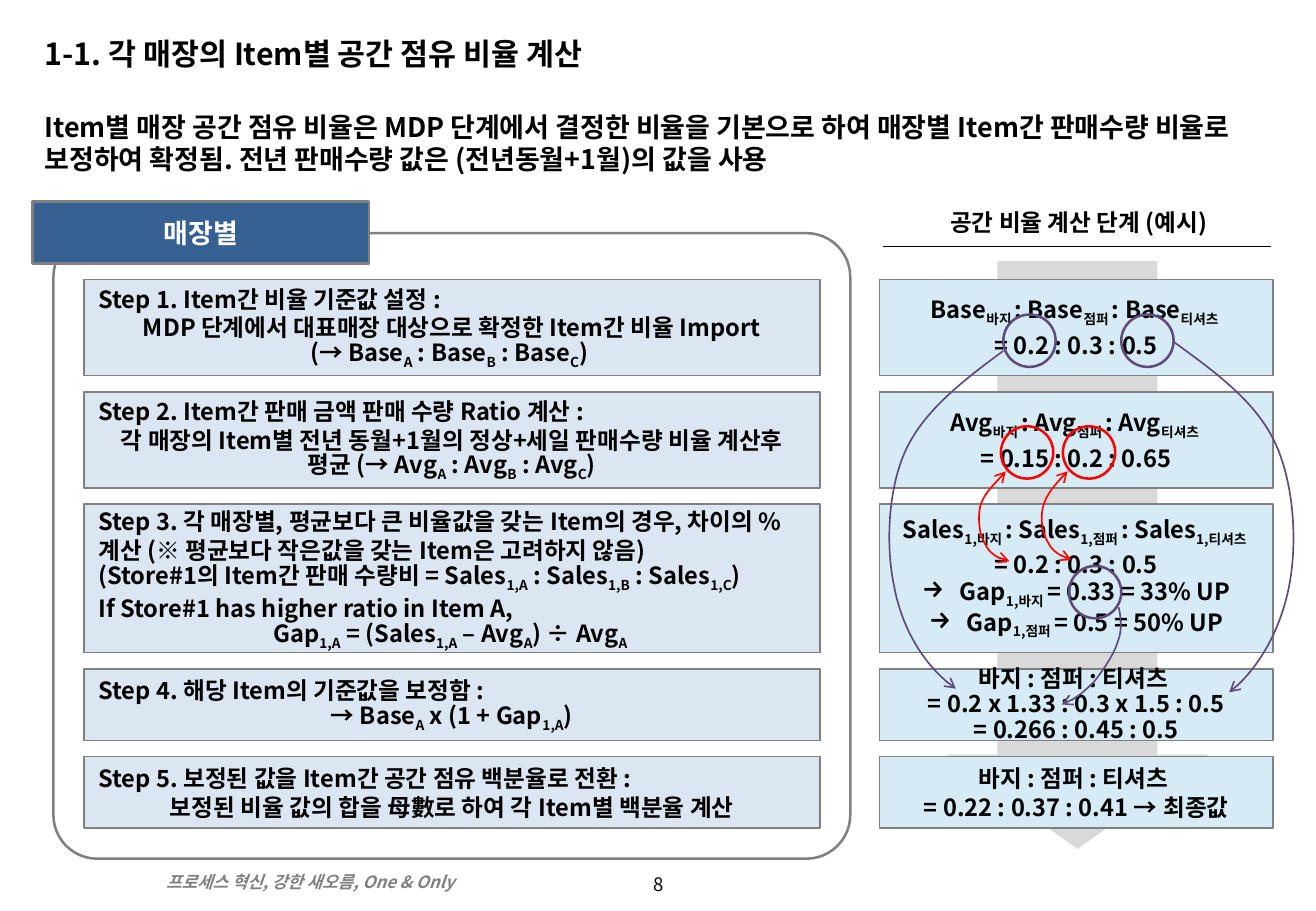
import lxml.etree
import pptx
import pptx.dml.color
import pptx.enum.shapes
import pptx.enum.text
import pptx.oxml.ns
import pptx.util

Pt = pptx.util.Pt
RGBColor = pptx.dml.color.RGBColor
SHAPE = pptx.enum.shapes.MSO_SHAPE
ALIGN = pptx.enum.text.PP_ALIGN
ANCHOR = pptx.enum.text.MSO_ANCHOR
qn = pptx.oxml.ns.qn

FONT = "Noto Sans CJK KR"
BLACK = RGBColor(0, 0, 0)
WHITE = RGBColor(255, 255, 255)
GRAY = RGBColor(0x80, 0x80, 0x80)
LIGHT_GRAY = RGBColor(0xD9, 0xD9, 0xD9)
NAVY = RGBColor(0x37, 0x60, 0x92)
STEP_BLUE = RGBColor(0xDC, 0xE6, 0xF2)
EXAMPLE_BLUE = RGBColor(0xD6, 0xEB, 0xF6)
RED = RGBColor(255, 0, 0)
PURPLE = RGBColor(0x60, 0x4A, 0x7B)

LEFT, CENTER, ARROW = "left", "center", "arrow"
TITLE = "1-1. 각 매장의 Item별 공간 점유 비율 계산"
SUMMARY = ("Item별 매장 공간 점유 비율은 MDP 단계에서 결정한 비율을 기본으로 하여 매장별 Item간 판매수량 "
           "비율로 보정하여 확정됨. 전년 판매수량 값은 (전년동월+1월)의 값을 사용")
FOOTER = "프로세스 혁신, 강한 새오름, One & Only"

# each row: height, then (leading, wrap, lines) for the step and for its example
ROWS = [
    (57, (16.8, False, [
        (LEFT, "Step 1. Item간 비율 기준값 설정 :"),
        (CENTER, "MDP 단계에서 대표매장 대상으로 확정한 Item간 비율 Import"),
        (CENTER, "(→ Base|A| : Base|B| : Base|C|) ")]),
     (19, False, [
         (CENTER, "Base|바지 |: Base|점퍼 |: Base|티셔츠 "),
         (CENTER, "= 0.2 : 0.3 : 0.5")])),
    (57, (16.8, True, [
        (LEFT, "Step 2. Item간 판매 금액 판매 수량 Ratio 계산 :"),
        (CENTER, "각 매장의 Item별 전년 동월+1월의 정상+세일 판매수량 비율 계산후 평균 "
                 "(→ Avg|A| : Avg|B| : Avg|C|)")]),
     (19, False, [
         (CENTER, "Avg|바지 |: Avg|점퍼 |: Avg|티셔츠 "),
         (CENTER, "= 0.15 : 0.2 : 0.65")])),
    (88, (17.2, True, [
        (LEFT, "Step 3. 각 매장별, 평균보다 큰 비율값을 갖는 Item의 경우, 차이의 % 계산 "
               "(※ 평균보다 작은값을 갖는 Item은 고려하지 않음)"),
        (LEFT, "(Store#1의 Item간 판매 수량비 = Sales|1,A| : Sales|1,B| : Sales|1,C|)"),
        (LEFT, "If Store#1 has higher ratio in Item A,"),
        (CENTER, "Gap|1,A| = (Sales|1,A| – Avg|A|) ÷ Avg|A ")]),
     (18.2, False, [
         (CENTER, "Sales|1,바지 |: Sales|1,점퍼 |: Sales|1,티셔츠 "),
         (CENTER, "= 0.2 : 0.3 : 0.5"),
         (ARROW, "Gap|1,바지 |= 0.33 = 33% UP"),
         (ARROW, "Gap|1,점퍼 |= 0.5 = 50% UP")])),
    (42.5, (17, False, [
        (LEFT, "Step 4. 해당 Item의 기준값을 보정함 :"),
        (CENTER, "→ Base|A| x (1 + Gap|1,A|)")]),
     (15.1, False, [
         (CENTER, "바지 : 점퍼 : 티셔츠 "),
         (CENTER, "= 0.2 x 1.33 : 0.3 x 1.5 : 0.5"),
         (CENTER, "= 0.266 : 0.45 : 0.5")])),
    (42.5, (17, False, [
        (LEFT, "Step 5. 보정된 값을 Item간 공간 점유 백분율로 전환 :"),
        (CENTER, "보정된 비율 값의 합을 母數로 하여 각 Item별 백분율 계산")]),
     (17, False, [
         (CENTER, "바지 : 점퍼 : 티셔츠 "),
         (CENTER, "= 0.22 : 0.37 : 0.41 → 최종값")])),
]
ROWS_TOP, ROW_GAP = 165.6, 9.6
COLUMNS = [(49.7, 436.3, STEP_BLUE), (521.3, 233.3, EXAMPLE_BLUE)]

CIRCLE_SIZE = 31
CIRCLES = [(593.3, 252.7, RED), (630, 252.7, RED), (594.7, 186.5, PURPLE),
           (664.6, 186.5, PURPLE), (633.6, 335.5, PURPLE)]
CURVES = [
    (RED, True, [(596.2, 279.4), (589.7, 286.6), (583.2, 293), (581, 300.2), (579.6, 306.7),
                 (580.3, 316), (583.2, 321.1), (586, 326.9), (591.8, 332), (598.3, 332.6)]),
    (RED, True, [(632.9, 279.4), (626.4, 285.8), (620.6, 293), (618.5, 299.5), (616.3, 306.7),
                 (617.8, 315.4), (620.6, 320.4), (623.5, 326.2), (629.3, 330.5), (635, 331.9)]),
    (PURPLE, False, [(594.7, 208), (571, 225.4), (547.9, 243.4), (537.1, 266.4), (526.3, 289.4),
                     (524.9, 323.3), (529.9, 347), (534.2, 370.8), (548.6, 396), (566.6, 408.2)]),
    (PURPLE, False, [(696.2, 203), (720, 220.3), (743.8, 237.6), (755.3, 261.4), (766.8, 285.1),
                     (769, 319.7), (764.6, 344.9), (760.3, 369.4), (746.6, 396.7), (728.6, 410.4)]),
    (PURPLE, False, [(663.1, 360), (664.6, 366.5), (665.3, 373.7), (662.4, 380.9), (660.2, 388.1),
                     (653.8, 397.4), (648.7, 403.9), (643, 409.7), (635, 416.2), (629.3, 417.6)]),
]


def add_outline(shape, fill, line, width):
    shape.shadow.inherit = False
    if fill is None:
        shape.fill.background()
    else:
        shape.fill.solid()
        shape.fill.fore_color.rgb = fill
    if line is None:
        shape.line.fill.background()
    else:
        shape.line.color.rgb = line
        shape.line.width = Pt(width)


def add_preset(page, kind, place, fill, line=None, width=1.0):
    shape = page.shapes.add_shape(kind, *map(Pt, place))
    add_outline(shape, fill, line, width)
    return shape


def write(box, lines, size, leading, color=BLACK, bold=True, italic=False,
          wrap=True, anchor=ANCHOR.MIDDLE, side=8.64, top=0):
    frame = box.text_frame
    frame.word_wrap = wrap
    frame.vertical_anchor = anchor
    frame.margin_left = frame.margin_right = Pt(side)
    frame.margin_top = frame.margin_bottom = Pt(top)
    for number, (style, text) in enumerate(lines):
        para = frame.add_paragraph() if number else frame.paragraphs[0]
        para.alignment = ALIGN.LEFT if style == LEFT else ALIGN.CENTER
        para.line_spacing = Pt(leading)
        if style == ARROW:
            settings = para._p.get_or_add_pPr()
            settings.set("marL", str(Pt(22.3)))
            settings.set("indent", str(-Pt(22.3)))
            lxml.etree.SubElement(settings, qn("a:buSzPct")).set("val", "120000")
            lxml.etree.SubElement(settings, qn("a:buChar")).set("char", "→")
        for piece, words in enumerate(text.split("|")):
            if not words:
                continue
            span = para.add_run()
            span.text = words
            span.font.size = Pt(size)
            span.font.bold = bold
            span.font.italic = italic
            span.font.color.rgb = color
            span.font.name = FONT
            settings = span._r.get_or_add_rPr()
            lxml.etree.SubElement(settings, qn("a:ea")).set("typeface", FONT)
            if piece % 2:
                settings.set("baseline", "-25000")


def add_text(page, place, text, size, leading, style=LEFT, **options):
    box = page.shapes.add_textbox(*map(Pt, place))
    write(box, [(style, text)], size, leading, **options)


def add_curve(page, color, both_ends, points):
    points = [(Pt(x), Pt(y)) for x, y in points]
    builder = page.shapes.build_freeform(*points[0])
    builder.add_line_segments(points[1:], close=False)
    shape = builder.convert_to_shape()
    add_outline(shape, None, color, 1)
    outline = shape._element.xpath(".//a:path")[0]
    for number, segment in enumerate(outline.findall(qn("a:lnTo"))):
        if number % 3 == 0:
            bend = lxml.etree.SubElement(outline, qn("a:cubicBezTo"))
        bend.append(segment[0])
        outline.remove(segment)
    stroke = shape.line._get_or_add_ln()
    for end in ("a:headEnd", "a:tailEnd") if both_ends else ("a:tailEnd",):
        lxml.etree.SubElement(stroke, qn(end)).set("type", "arrow")


def main():
    deck = pptx.Presentation()
    deck.slide_width, deck.slide_height = Pt(780), Pt(540)
    page = deck.slides.add_slide(deck.slide_layouts[6])

    add_text(page, (354.2, 513.4, 72, 21.6), "8", 11, 13.2, CENTER, bold=False)
    add_text(page, (91.4, 513.4, 239, 19.4), FOOTER, 10, 12, color=GRAY, italic=True,
             side=7.2, top=3.6, anchor=ANCHOR.TOP)

    flow = add_preset(page, SHAPE.DOWN_ARROW, (560.9, 154.8, 155.5, 348.5), LIGHT_GRAY)
    flow.adjustments[0], flow.adjustments[1] = 0.61, 0.36
    panel = add_preset(page, SHAPE.ROUNDED_RECTANGLE, (31.7, 138.2, 472.3, 370.8), WHITE, GRAY, 1.5)
    panel.adjustments[0] = 0.07

    add_text(page, (19.4, 17.3, 737.3, 33), TITLE, 18, 21.6, side=7.2, top=3.6, anchor=ANCHOR.TOP)
    add_text(page, (19.4, 62, 738.7, 59.8), SUMMARY, 16, 19.2, side=7.2, top=3.6, anchor=ANCHOR.TOP)

    store = add_preset(page, SHAPE.RECTANGLE, (19.4, 119.5, 199.4, 36.7), NAVY, GRAY, 1.5)
    write(store, [(CENTER, "매장별")], 16, 19.2, color=WHITE, wrap=False)

    add_text(page, (532.1, 121.5, 214.6, 20.2), "공간 비율 계산 단계 (예시)", 14, 17, CENTER, side=0)
    rule = page.shapes.add_connector(pptx.enum.shapes.MSO_CONNECTOR.STRAIGHT,
                                     Pt(523.4), Pt(146.2), Pt(753.1), Pt(146.2))
    rule.line.color.rgb = BLACK
    rule.line.width = Pt(0.75)
    lxml.etree.SubElement(rule._element.spPr, qn("a:effectLst"))

    top = ROWS_TOP
    for height, *cells in ROWS:
        for (left, width, fill), (leading, wrap, lines) in zip(COLUMNS, cells):
            box = add_preset(page, SHAPE.RECTANGLE, (left, top, width, height), fill, GRAY)
            write(box, lines, 14, leading, wrap=wrap)
        top += height + ROW_GAP

    for left, top, color in CIRCLES:
        add_preset(page, SHAPE.OVAL, (left, top, CIRCLE_SIZE, CIRCLE_SIZE), None, color, 1.5)
    for color, both_ends, points in CURVES:
        add_curve(page, color, both_ends, points)

    deck.save("out.pptx")


if __name__ == "__main__":
    main()
